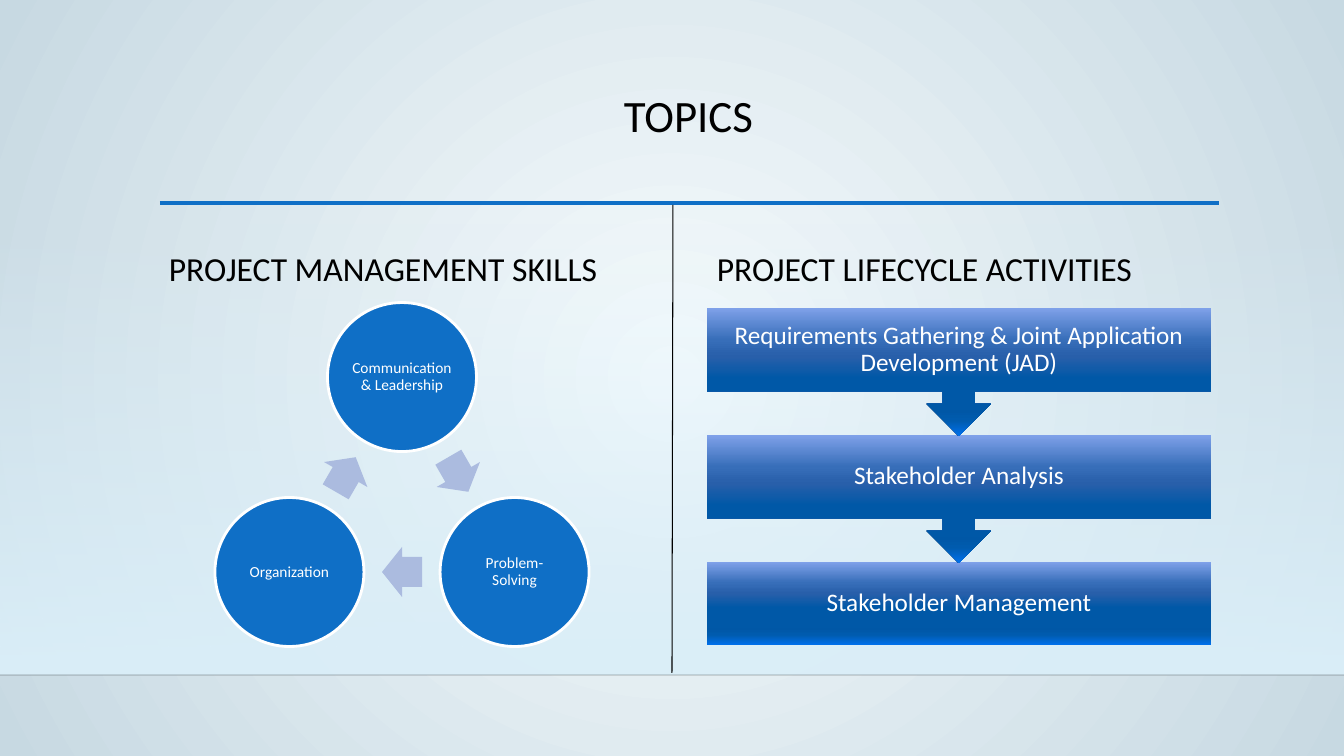
"""Build the topics slide: a skills cycle beside a lifecycle flow."""
import math
from dataclasses import dataclass

from pptx import Presentation
from pptx import util as u
from pptx.dml.color import RGBColor
from pptx.enum import shapes, text
from pptx.oxml import parse_xml
from pptx.oxml.ns import nsdecls, qn

SCALE = 12192000 / 1344
FORM = shapes.MSO_SHAPE
MID = text.MSO_ANCHOR.MIDDLE
TOP = text.MSO_ANCHOR.TOP
LEFT = text.PP_ALIGN.LEFT
MARGINS = ("margin_left", "margin_top", "margin_right", "margin_bottom")


@dataclass(frozen=True)
class Theme:
    """Hold the colours, gradients and type sizes."""
    font: str = "Calibri"
    ink: str = "000000"
    white: str = "FFFFFF"
    blue: str = "0F6FC6"
    pale: str = "ABBBDF"
    edge: str = "000001"
    title: int = 32
    head: int = 24
    step: int = 18
    skill: int = 11
    back: tuple = ((0, "F6FBFD", 100), (100, "C7D9E2", 100))
    band: tuple = ((0, "DBEFF9", 0), (100, "DBEFF9", 100))
    bar: tuple = (
        (0, "7FA1E9", 100), (25, "376EB9", 100), (38, "285FAA", 100),
        (55, "0058A7", 100), (80, "0057A6", 100), (88, "005BAE", 100),
        (100, "0070EB", 100))


THEME = Theme()


def px(num):
    """Turn pixels into EMU."""
    return u.Emu(round(num * SCALE))


def rgb(code):
    """Turn a hex code into a colour."""
    return RGBColor.from_string(code)


def put(item, values):
    """Set each named value on an item."""
    for name, value in values.items():
        setattr(item, name, value)


def blend(fill, root, stops, radial=False):
    """Give a fill a linear or radial gradient."""
    fill.gradient()
    marks = "".join(
        f'<a:gs pos="{at * 1000}"><a:srgbClr val="{code}">'
        f'<a:alpha val="{alpha * 1000}"/></a:srgbClr></a:gs>'
        for at, code, alpha in stops)
    way = '<a:lin ang="5400000" scaled="0"/>'
    if radial:
        way = ('<a:path path="circle"><a:fillToRect l="50000" t="50000" '
               'r="50000" b="50000"/></a:path>')
    old = root.find(".//" + qn("a:gradFill"))
    new = parse_xml(f'<a:gradFill {nsdecls("a")} rotWithShape="1">'
                    f'<a:gsLst>{marks}</a:gsLst>{way}</a:gradFill>')
    old.getparent().replace(old, new)


def write(shape, words, size, color, inset=None, anchor=MID,
          align=text.PP_ALIGN.CENTER, space=0.9):
    """Write one formatted paragraph in a shape."""
    frame = shape.text_frame
    frame.text = words
    put(frame, {"word_wrap": True, "vertical_anchor": anchor,
                "auto_size": text.MSO_AUTO_SIZE.NONE})
    if inset is not None:
        put(frame, dict.fromkeys(MARGINS, px(inset)))
    para = frame.paragraphs[0]
    put(para, {"alignment": align, "line_spacing": space})
    font = para.runs[0].font
    put(font, {"name": THEME.font, "size": u.Pt(size)})
    font.color.rgb = rgb(color)


def draw(slide, form, box, fill, edge=None):
    """Add a preset shape with a plain or gradient fill."""
    shape = slide.shapes.add_shape(form, *map(px, box))
    shape.shadow.inherit = False
    if isinstance(fill, str):
        shape.fill.solid()
        shape.fill.fore_color.rgb = rgb(fill)
    else:
        blend(shape.fill, shape.element, fill)
    if edge:
        shape.line.color.rgb = rgb(edge)
        shape.line.width = u.Pt(2)
    else:
        shape.line.fill.background()
    return shape


def rule(slide, ends, color, width, alpha=100):
    """Add a straight line without a shadow."""
    line = slide.shapes.add_connector(
        shapes.MSO_CONNECTOR.STRAIGHT, *map(px, ends))
    line.line.color.rgb = rgb(color)
    line.line.width = u.Pt(width)
    tint = line.element.find(".//" + qn("a:srgbClr"))
    tint.append(parse_xml(
        f'<a:alpha {nsdecls("a")} val="{alpha * 1000}"/>'))
    line.element.spPr.append(parse_xml(f'<a:effectLst {nsdecls("a")}/>'))


def head(slide, left, words):
    """Add a column heading."""
    box = slide.shapes.add_textbox(*map(px, (left, 243, 512, 50)))
    write(box, words, THEME.head, THEME.ink, anchor=TOP, align=LEFT, space=1)


def cycle(slide, names):
    """Place skills around a ring, with an arrow after each."""
    mid, level, ring, size = 402, 507, 130, 149
    turn = 360 / len(names)

    def spot(angle, reach, wide, high):
        """Give the box centred at an angle on the ring."""
        rad = math.radians(angle)
        return (mid + reach * math.cos(rad) - wide / 2,
                level + reach * math.sin(rad) - high / 2, wide, high)

    for i, name in enumerate(names):
        angle = i * turn - 90
        disc = draw(slide, FORM.OVAL, spot(angle, ring, size, size),
                    THEME.blue, THEME.white)
        write(disc, name, THEME.skill, THEME.white, 2)
        angle += turn / 2
        arrow = draw(slide, FORM.RIGHT_ARROW,
                     spot(angle, ring / 2, 40, 50), THEME.pale)
        arrow.rotation = angle + 90
        arrow.adjustments[0] = 0.6
        arrow.adjustments[1] = 0.5


def flow(slide, names):
    """Stack the steps, each pointing down to the next."""
    last = len(names) - 1
    for i in range(last, -1, -1):
        form, high = FORM.DOWN_ARROW_CALLOUT, 128
        if i == last:
            form, high = FORM.RECTANGLE, 83
        bar = draw(slide, form, (707, 308 + i * 127, 504, high), THEME.bar)
        write(bar, names[i], THEME.step, THEME.white, 14)


def main():
    """Build and save the slide."""
    deck = Presentation()
    put(deck, {"slide_width": px(1344), "slide_height": px(756)})
    slide = deck.slides.add_slide(deck.slide_layouts[5])
    blend(slide.background.fill, slide.element, THEME.back, radial=True)
    draw(slide, FORM.RECTANGLE, (0, 223, 1344, 452), THEME.band)
    rule(slide, (0, 675, 1344, 675), THEME.edge, 1, 20)
    rule(slide, (160, 203, 1219, 203), THEME.blue, 2.5)
    title = slide.shapes.title
    put(title, {"left": px(159), "top": px(89),
                "width": px(1059), "height": px(117)})
    write(title, "TOPICS", THEME.title, THEME.ink, anchor=TOP)
    head(slide, 159, "PROJECT MANAGEMENT SKILLS")
    cycle(slide, ("Communication & Leadership", "Problem-Solving",
                  "Organization"))
    head(slide, 707, "PROJECT LIFECYCLE ACTIVITIES")
    flow(slide, (
        "Requirements Gathering & Joint Application Development (JAD)",
        "Stakeholder Analysis", "Stakeholder Management"))
    rule(slide, (673, 205, 672, 673), THEME.ink, 0.75)
    deck.save("out.pptx")


if __name__ == "__main__":
    main()
